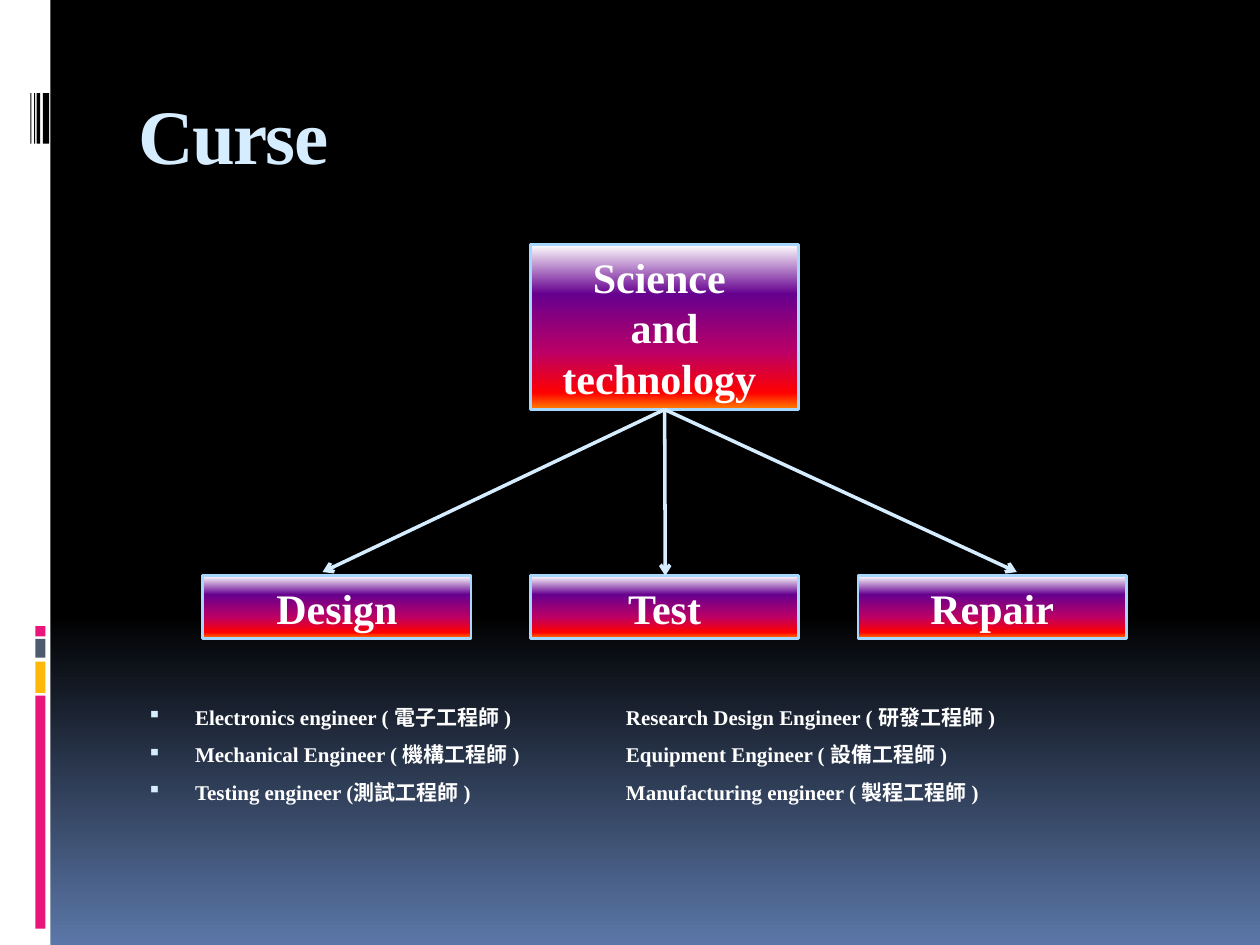
from lxml import etree
from pptx import Presentation
from pptx.dml.color import RGBColor
from pptx.enum.shapes import MSO_CONNECTOR, MSO_SHAPE
from pptx.enum.text import MSO_ANCHOR, PP_ALIGN
from pptx.oxml.ns import qn
from pptx.util import Inches, Pt

RECTANGLE = MSO_SHAPE.RECTANGLE
STRAIGHT = MSO_CONNECTOR.STRAIGHT
MIDDLE = MSO_ANCHOR.MIDDLE
CENTER = PP_ALIGN.CENTER

FONT = "Times New Roman"
WHITE = RGBColor(0xFF, 0xFF, 0xFF)
BLACK = RGBColor(0x00, 0x00, 0x00)
PINK = RGBColor(0xEA, 0x15, 0x7A)
AMBER = RGBColor(0xFE, 0xB8, 0x0A)
SLATE = RGBColor(0x4E, 0x5B, 0x6F)
PALE_BLUE = RGBColor(0xD6, 0xEC, 0xFF)
EDGE_BLUE = RGBColor(0xA7, 0xD6, 0xFF)

# Gradient stops: percent, colour
NIGHT = [(0, BLACK), (65, BLACK), (100, RGBColor(0x5B, 0x77, 0xA8))]
SUNSET = [
    (0, WHITE),
    (30, RGBColor(0x66, 0x00, 0x8F)),
    (65, RGBColor(0xBA, 0x00, 0x66)),
    (90, RGBColor(0xFF, 0x00, 0x00)),
    (100, RGBColor(0xFF, 0x82, 0x00)),
]

# Content
TITLE = "Curse"
ROOT = "Science \nand technology "
BRANCHES = [("Design", 2.56, 4.54), ("Test", 5.28, 4.57), ("Repair", 8.07, 4.54)]
JOBS = [
    ("Electronics engineer ( 電子工程師 )", "Research Design Engineer ( 研發工程師 )"),
    ("Mechanical Engineer ( 機構工程師 )", "Equipment Engineer ( 設備工程師 )"),
    ("Testing engineer (測試工程師 )", "Manufacturing engineer ( 製程工程師 )"),
]

# Side decoration: left, top, width, height, colour
SIDE_BARS = [(0, 0, 0.4, 7.5, WHITE)]
SIDE_BARS += [
    (0.28, top, 0.08, height, colour)
    for top, height, colour in [
        (5.52, 1.85, PINK), (5.25, 0.25, AMBER), (5.07, 0.15, SLATE), (4.97, 0.08, PINK),
    ]
]
SIDE_BARS += [
    (left, 0.74, width, 0.4, BLACK)
    for left, width in [(0.34, 0.05), (0.29, 0.03), (0.27, 0.01), (0.24, 0.01)]
]

# Layout in inches
BOX_WIDTH, BOX_STEP, BOX_LEFT = 2.13, 2.6, 1.61
BRANCH_TOP, BRANCH_HEIGHT = 4.57, 0.5
ROOT_TOP, ROOT_HEIGHT = 1.94, 1.31
SECOND_COLUMN = 3.87

prs = Presentation()
prs.slide_width, prs.slide_height = Inches(10), Inches(7.5)
slide = prs.slides.add_slide(prs.slide_layouts[6])
shapes = slide.shapes


def set_gradient(fill, owner, stops):
    fill.gradient()
    fill.gradient_angle = 270
    stop_list = owner.find(".//" + qn("a:gsLst"))
    for old_stop in list(stop_list):
        stop_list.remove(old_stop)
    for percent, colour in stops:
        stop = etree.SubElement(stop_list, qn("a:gs"), pos=str(percent * 1000))
        etree.SubElement(stop, qn("a:srgbClr"), val=str(colour))


def add_rectangle(left, top, width, height):
    rectangle = shapes.add_shape(
        RECTANGLE, Inches(left), Inches(top), Inches(width), Inches(height))
    rectangle.shadow.inherit = False
    return rectangle


def add_text_box(left, top, width, height, text):
    frame = shapes.add_textbox(
        Inches(left), Inches(top), Inches(width), Inches(height)).text_frame
    frame.word_wrap = True
    frame.text = text
    return frame


def style_text(frame, size, colour):
    for paragraph in frame.paragraphs:
        for run in paragraph.runs:
            run.font.name, run.font.size = FONT, Pt(size)
            run.font.bold = True
            run.font.color.rgb = colour


def add_topic(left, top, height, text):
    topic = add_rectangle(left, top, BOX_WIDTH, height)
    set_gradient(topic.fill, topic.element, SUNSET)
    topic.line.color.rgb = EDGE_BLUE
    topic.line.width = Pt(1.5)
    frame = topic.text_frame
    frame.word_wrap = True
    frame.vertical_anchor = MIDDLE
    frame.text = text
    for paragraph in frame.paragraphs:
        paragraph.alignment = CENTER
    style_text(frame, 24, WHITE)
    return topic


def add_arrow(source, end_x, end_y):
    arrow = shapes.add_connector(STRAIGHT, 0, 0, Inches(end_x), Inches(end_y))
    arrow.begin_connect(source, 2)
    arrow.line.color.rgb = PALE_BLUE
    arrow.line.width = Pt(2)
    etree.SubElement(arrow.line._get_or_add_ln(), qn("a:tailEnd"), type="arrow")
    etree.SubElement(arrow.element.spPr, qn("a:effectLst"))


def add_bullet(paragraph):
    paragraph.space_before = Pt(7)
    props = paragraph._p.get_or_add_pPr()
    props.set("marL", str(Inches(0.45)))
    props.set("indent", str(Inches(-0.38)))
    bullet_colour = etree.SubElement(props, qn("a:buClr"))
    etree.SubElement(bullet_colour, qn("a:srgbClr"), val=str(PALE_BLUE))
    etree.SubElement(props, qn("a:buSzPct"), val="95000")
    etree.SubElement(props, qn("a:buChar"), char="▪")
    tabs = etree.SubElement(props, qn("a:tabLst"))
    etree.SubElement(tabs, qn("a:tab"), pos=str(Inches(SECOND_COLUMN)), algn="l")


# Background and side decoration
set_gradient(slide.background.fill, slide.element, NIGHT)
for left, top, width, height, colour in SIDE_BARS:
    bar = add_rectangle(left, top, width, height)
    bar.fill.solid()
    bar.fill.fore_color.rgb = colour
    bar.line.fill.background()

# Title
title = add_text_box(1, 0.56, 8.5, 1, TITLE)
title.vertical_anchor = MIDDLE
style_text(title, 44, PALE_BLUE)
title.paragraphs[0].runs[0].font._element.set("spc", "-100")

# Job list in two columns
jobs = add_text_box(1, 5.54, 8.5, 0.95, "\n".join("\t".join(pair) for pair in JOBS))
style_text(jobs, 12, WHITE)
for paragraph in jobs.paragraphs:
    add_bullet(paragraph)

# Tree of topics
for column, (name, _, _) in enumerate(BRANCHES):
    add_topic(BOX_LEFT + column * BOX_STEP, BRANCH_TOP, BRANCH_HEIGHT, name)
root = add_topic(BOX_LEFT + BOX_STEP, ROOT_TOP, ROOT_HEIGHT, ROOT)
for _, end_x, end_y in BRANCHES:
    add_arrow(root, end_x, end_y)

prs.save("out.pptx")
